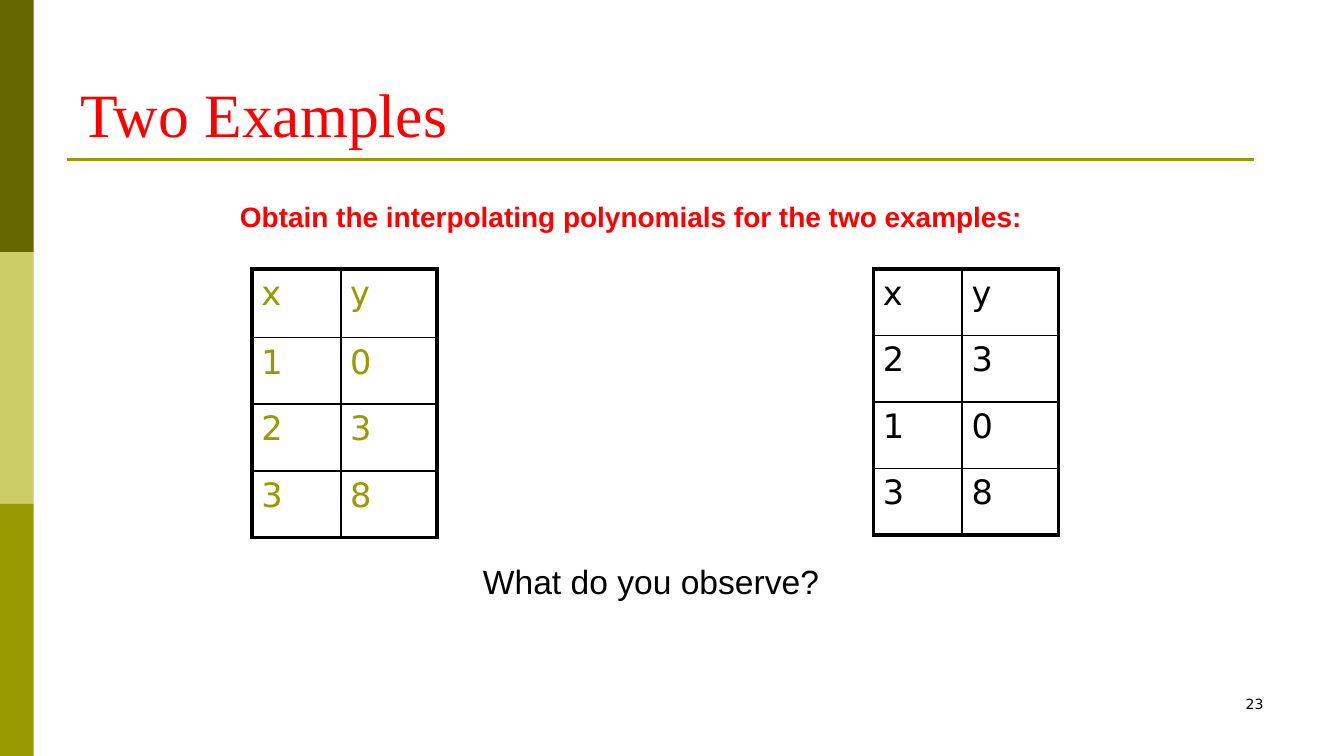
import pptx
import pptx.dml.color
import pptx.enum.shapes
import pptx.enum.text
import pptx.oxml.ns
import pptx.util
from lxml import etree

RGBColor = pptx.dml.color.RGBColor
PP_ALIGN = pptx.enum.text.PP_ALIGN
MSO_ANCHOR = pptx.enum.text.MSO_ANCHOR
Pt = pptx.util.Pt

DARK_OLIVE = RGBColor(0x66, 0x66, 0x00)
PALE_OLIVE = RGBColor(0xCC, 0xCC, 0x66)
OLIVE = RGBColor(0x99, 0x99, 0x00)
RED = RGBColor(0xFF, 0x00, 0x00)
BLACK = RGBColor(0x00, 0x00, 0x00)

WIDTH = pptx.util.Inches(10)
HEIGHT = WIDTH * 9 // 16
COLUMNS = 80
UNIT = WIDTH // COLUMNS
THICK, THIN = 2.25, 1


def grid(*lengths):
    """Turn grid columns and rows into slide lengths."""
    return [pptx.util.Emu(round(n * UNIT)) for n in lengths]


def style(p, font, size, color, bold=False, align=PP_ALIGN.LEFT):
    """Format a whole paragraph."""
    p.alignment = align
    p.font.name, p.font.size, p.font.bold = font, Pt(size), bold
    p.font.color.rgb = color


def add_sidebar(slide, box):
    """Stack three equal colour bands in the box."""
    left, top, width, height = box
    colors = (DARK_OLIVE, PALE_OLIVE, OLIVE)
    band = height / len(colors)
    for i, color in enumerate(colors):
        sp = slide.shapes.add_shape(pptx.enum.shapes.MSO_SHAPE.RECTANGLE,
                                    *grid(left, top + i * band, width, band))
        sp.shadow.inherit = False
        sp.fill.solid()
        sp.fill.fore_color.rgb = color
        sp.line.fill.background()


def add_title(slide, box, text):
    """Place the title at the bottom of its box."""
    sp = slide.shapes.title
    sp.left, sp.top, sp.width, sp.height = grid(*box)
    tf = sp.text_frame
    tf.text = text
    tf.auto_size = pptx.enum.text.MSO_AUTO_SIZE.NONE
    tf.vertical_anchor = MSO_ANCHOR.BOTTOM
    style(tf.paragraphs[0], "Times New Roman", 33, RED)


def add_rule(slide, left, right, y):
    """Draw the horizontal line under the title."""
    line = slide.shapes.add_connector(pptx.enum.shapes.MSO_CONNECTOR.STRAIGHT,
                                      *grid(left, y, right, y))
    line.line.color.rgb = OLIVE
    line.line.width = Pt(1.5)
    etree.SubElement(line._element.spPr, pptx.oxml.ns.qn("a:effectLst"))


def add_text(slide, box, text, *look, **options):
    """Add a one-paragraph wrapped text box."""
    tf = slide.shapes.add_textbox(*grid(*box)).text_frame
    tf.word_wrap = True
    tf.text = text
    style(tf.paragraphs[0], *look, **options)


def set_border(cell, side, width):
    """Draw one black edge of a cell."""
    qn = pptx.oxml.ns.qn
    ln = etree.SubElement(cell._tc.get_or_add_tcPr(), qn(f"a:ln{side}"), w=str(Pt(width)))
    fill = etree.SubElement(ln, qn("a:solidFill"))
    etree.SubElement(fill, qn("a:srgbClr"), val=str(BLACK))


def add_points_table(slide, box, rows, color, header_height):
    """Fill the box with a table of points framed by a thick border."""
    left, top, width, height = box
    last_row, last_col = len(rows) - 1, len(rows[0]) - 1
    table = slide.shapes.add_table(len(rows), len(rows[0]), *grid(*box)).table
    table.first_row = table.horz_banding = False
    for column, share in zip(table.columns, (0.48, 0.52)):
        column.width, = grid(width * share)
    body_height = (height - header_height) / last_row
    for r, values in enumerate(rows):
        table.rows[r].height, = grid(body_height if r else header_height)
        for c, value in enumerate(values):
            cell = table.cell(r, c)
            cell.text = value
            cell.margin_left = cell.margin_right = pptx.util.Inches(0.07)
            cell.margin_top = cell.margin_bottom = pptx.util.Inches(0.04)
            style(cell.text_frame.paragraphs[0], "DejaVu Sans", 18, color)
            outer = {"L": c == 0, "R": c == last_col, "T": r == 0, "B": r == last_row}
            for side, is_outer in outer.items():
                set_border(cell, side, THICK if is_outer else THIN)
            cell.fill.background()


def build_slide(prs):
    """Lay out the two interpolation examples."""
    slide = prs.slides.add_slide(prs.slide_layouts.get_by_name("Title Only"))
    add_sidebar(slide, (0, 0, 2, 45))
    add_rule(slide, 4, 74.67, 9.5)
    add_title(slide, (4, 1.85, 72, 7.45), "Two Examples")
    add_text(slide, (57.33, 41, 18.67, 3), "23", "DejaVu Sans", 7.5, BLACK,
             align=PP_ALIGN.RIGHT)
    add_text(slide, (13.5, 11.5, 50.5, 2.8),
             "Obtain the interpolating polynomials for the two examples:",
             "Arial", 15, RED, bold=True)
    add_points_table(slide, (15, 16, 11, 16), ("xy", "10", "23", "38"), OLIVE, 4.1)
    add_points_table(slide, (52, 16, 11, 15.84), ("xy", "23", "10", "38"), BLACK, 3.96)
    add_text(slide, (17, 33, 43.5, 3.2), "What do you observe?", "Arial", 18, BLACK,
             align=PP_ALIGN.CENTER)


def main():
    """Create and save the presentation."""
    prs = pptx.Presentation()
    prs.slide_width, prs.slide_height = WIDTH, HEIGHT
    build_slide(prs)
    prs.save("out.pptx")


if __name__ == "__main__":
    main()
